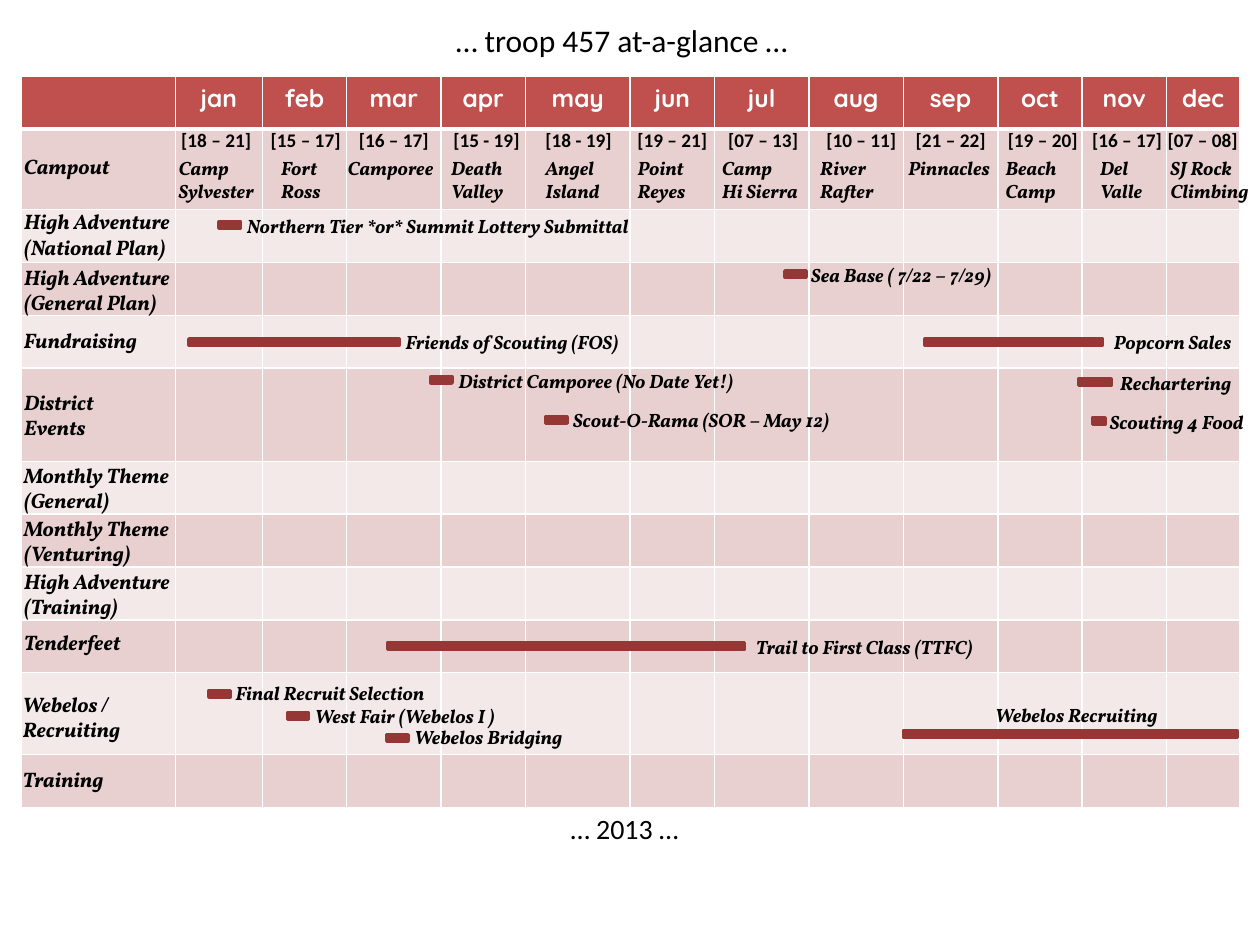
from lxml import etree
from pptx import Presentation
from pptx.dml.color import RGBColor
from pptx.enum.shapes import MSO_SHAPE as Shape
from pptx.enum.text import MSO_ANCHOR as Anchor, MSO_AUTO_SIZE as AutoSize, PP_ALIGN as Align
from pptx.oxml.ns import qn
from pptx.util import Pt

COLORS = {"header": "C0504D", "band_dark": "E8D0D0", "band_light": "F4E9E9",
          "bar": "953735", "text": "000000", "white": "FFFFFF"}
HEADING, BODY, SCRIPT = "Quicksand", "Calibri", "Vollkorn"

MONTHS = ["jan", "feb", "mar", "apr", "may", "jun",
          "jul", "aug", "sep", "oct", "nov", "dec"]
COLUMN_WIDTHS = [87.8, 49.7, 48.2, 54, 48.2, 59.8, 48.2, 54, 54, 54, 48.2, 48.2, 41.8]
ROW_HEIGHTS = [30.2, 46.1, 30.2, 30.2, 30.2, 53.3, 30.2, 30.2, 30.2, 30.2, 46.8, 30.2]

# text, left, top, width
ROW_LABELS = [
    ("Campout", 6.5, 84.2, 66.2),
    ("High Adventure\n(National Plan)", 6.5, 115.9, 102.2),
    ("High Adventure\n(General Plan)", 6.5, 147.6, 102.2),
    ("Fundraising", 6.5, 183.6, 79.2),
    ("District\nEvents", 6.5, 218.9, 56.9),
    ("Monthly Theme\n(General)", 6.5, 260.6, 99.4),
    ("Monthly Theme\n(Venturing)", 6.5, 290.9, 99.4),
    ("High Adventure\n(Training)", 6.5, 321.1, 99.4),
    ("Tenderfeet", 6.5, 356.4, 70.6),
    ("Webelos /\nRecruiting", 5.8, 391.7, 71.3),
    ("Training", 5.8, 434.2, 61.2),
]

# dates, left, width, camp, left, width
CAMPOUTS = [
    ("[18 – 21]", 96.5, 55.4, "Camp\nSylvester", 95, 59.8),
    ("[15 – 17]", 147.6, 55.4, "Fort\nRoss", 153.4, 38.9),
    ("[16 – 17]", 198, 55.4, "Camporee", 191.5, 64.1),
    ("[15 - 19]", 252, 53.3, "Death\nValley", 250.6, 46.8),
    ("[18 - 19]", 304.6, 53.3, "Angel\nIsland", 304.6, 46.1),
    ("[19 – 21]", 357.1, 55.4, "Point\nReyes", 357.1, 43.9),
    ("[07 – 13]", 409, 55.4, "Camp\nHi Sierra", 405.4, 59),
    ("[10 – 11]", 465.1, 55.4, "River\nRafter", 461.5, 46.1),
    ("[21 – 22]", 516.2, 55.4, "Pinnacles", 511.9, 62.6),
    ("[19 – 20]", 568.8, 55.4, "Beach\nCamp", 567.4, 43.9),
    ("[16 – 17]", 617, 55.4, "Del\nValle", 621.4, 40.3),
    ("[07 – 08]", 660.2, 55.4, "SJ Rock\nClimbing", 661.7, 59.8),
]

# text, left, top, width, then bar left, top, width
EVENTS = [
    ("Northern Tier *or* Summit Lottery Submittal", 133.9, 118.8, 239, 125.3, 126.7, 12.2),
    ("Sea Base ( 7/22 – 7/29)", 456.5, 146.9, 122.4, 448.6, 154.8, 12.2),
    ("Friends of Scouting (FOS)", 224.6, 185, 141.1, 108, 193.7, 120.2),
    ("Popcorn Sales", 629.3, 185, 84.2, 528.5, 193.7, 101.5),
    ("District Camporee (No Date Yet!)", 254.9, 207.4, 179.3, 246.2, 215.3, 12.2),
    ("Scout-O-Rama (SOR – May 12)", 320.4, 229.7, 171.4, 311.8, 238.3, 12.2),
    ("Rechartering", 632.9, 208.8, 77.8, 616.3, 216.7, 18.7),
    ("Scouting 4 Food", 627.1, 231.1, 93.6, 624.2, 239, 7.2),
    ("Trail to First Class (TTFC)", 424.8, 359.3, 146.2, 221.8, 367.2, 203.8),
    ("Final Recruit Selection", 127.4, 385.9, 127.4, 119.5, 394.6, 12.2),
    ("West Fair (Webelos I )", 172.8, 398.9, 124.6, 164.2, 407.5, 12.2),
    ("Webelos Bridging", 229.7, 411.1, 101.5, 221, 419.8, 12.2),
    ("Webelos Recruiting", 561.6, 398.2, 110.9, 516.2, 417.6, 190.8),
]


def color(name):
    return RGBColor.from_string(COLORS[name])


def write_text(frame, text, font=SCRIPT, size=11, bold=False, italic=False,
               fill="text", align=Align.LEFT):
    """Fill a text frame, one paragraph per line."""
    frame.text = text
    for paragraph in frame.paragraphs:
        paragraph.alignment = align
        for run in paragraph.runs:
            run.font.name = font
            run.font.size = Pt(size)
            run.font.bold = bold
            run.font.italic = italic
            run.font.color.rgb = color(fill)


def border_cell(cell, top=1, bottom=1):
    properties = cell._tc.get_or_add_tcPr()
    for side, width in (("L", 1), ("R", 1), ("T", top), ("B", bottom)):
        line = etree.SubElement(properties, qn(f"a:ln{side}"), w=str(Pt(width)))
        solid = etree.SubElement(line, qn("a:solidFill"))
        etree.SubElement(solid, qn("a:srgbClr"), val=COLORS["white"])


class Calendar:
    """Draws the elements of the year plan on one slide."""

    def __init__(self, slide):
        self.slide = slide

    def label(self, text, left, top, width, size=11, **style):
        height = 7.2 + 1.2 * size * len(text.split("\n"))
        box = self.slide.shapes.add_textbox(Pt(left), Pt(top), Pt(width), Pt(height))
        write_text(box.text_frame, text, size=size, **style)
        box.text_frame.word_wrap = False
        box.text_frame.auto_size = AutoSize.SHAPE_TO_FIT_TEXT

    def script_label(self, *place, size=11):
        self.label(*place, size=size, bold=True, italic=True)

    def bar(self, left, top, width):
        shape = self.slide.shapes.add_shape(
            Shape.RECTANGLE, Pt(left), Pt(top), Pt(width), Pt(3.6))
        shape.shadow.inherit = False
        shape.fill.solid()
        shape.fill.fore_color.rgb = color("bar")
        shape.line.color.rgb = color("bar")
        shape.line.width = Pt(2)

    def grid(self, left, top):
        table = self.slide.shapes.add_table(
            len(ROW_HEIGHTS), len(COLUMN_WIDTHS), Pt(left), Pt(top),
            Pt(sum(COLUMN_WIDTHS)), Pt(sum(ROW_HEIGHTS))).table
        for column, width in zip(table.columns, COLUMN_WIDTHS):
            column.width = Pt(width)
        for index, (row, height) in enumerate(zip(table.rows, ROW_HEIGHTS)):
            row.height = Pt(height)
            band = "header" if index == 0 else "band_dark" if index % 2 else "band_light"
            for cell in row.cells:
                border_cell(cell, top=3 if index == 1 else 1,
                            bottom=3 if index == 0 else 1)
                cell.fill.solid()
                cell.fill.fore_color.rgb = color(band)
                cell.vertical_anchor = Anchor.TOP
        for column, month in enumerate(MONTHS, 1):
            write_text(table.cell(0, column).text_frame, month, font=HEADING, size=14,
                       bold=True, fill="white", align=Align.CENTER)


def main():
    presentation = Presentation()
    presentation.slide_width, presentation.slide_height = Pt(720), Pt(540)
    calendar = Calendar(presentation.slides.add_slide(presentation.slide_layouts[6]))

    calendar.grid(12.4, 43.5)
    for row_label in ROW_LABELS:
        calendar.script_label(*row_label, size=12)
    for dates, dates_left, dates_width, camp, camp_left, camp_width in CAMPOUTS:
        calendar.label(dates, dates_left, 69.8, dates_width, font=BODY, bold=True)
        calendar.script_label(camp, camp_left, 85.7, camp_width)
    for text, left, top, width, *bar_place in EVENTS:
        calendar.script_label(text, left, top, width)
        calendar.bar(*bar_place)
    calendar.label("… troop 457 at-a-glance …", 253.4, 8.6, 211, size=18, font=BODY)
    calendar.label("… 2013 …", 319, 460.1, 80.6, size=16, font=BODY)

    presentation.save("out.pptx")


if __name__ == "__main__":
    main()
